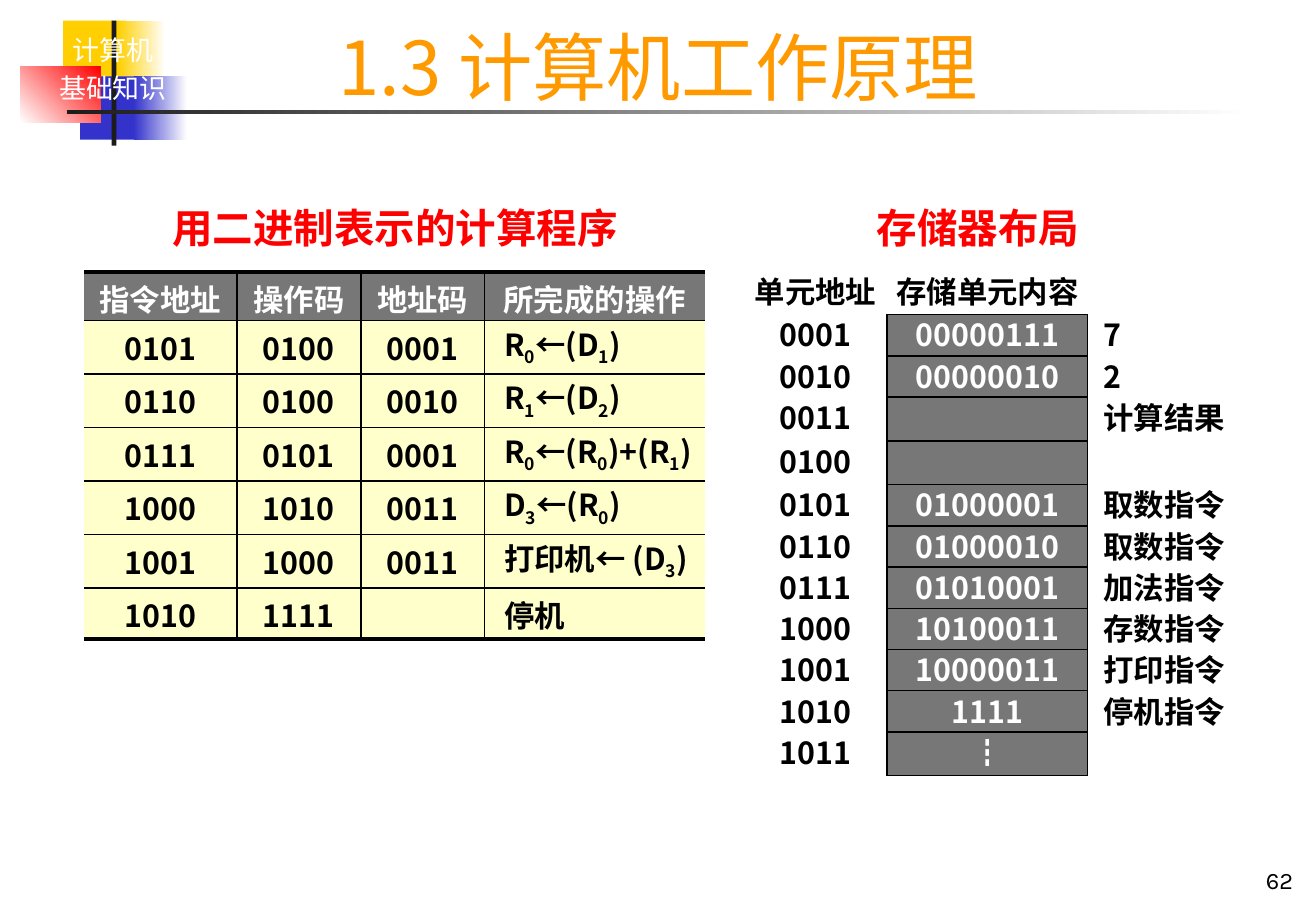
from dataclasses import dataclass
from typing import NamedTuple, Optional

from lxml.etree import SubElement
from pptx import Presentation
from pptx.dml.color import RGBColor as Rgb
from pptx.enum.shapes import MSO_SHAPE as Shape
from pptx.enum.text import MSO_ANCHOR as Anchor, PP_ALIGN as Align
from pptx.oxml.ns import qn
from pptx.util import Emu, Inches, Pt


@dataclass(frozen=True)
class Theme:
    yellow: str = "FFCF01"
    blue: str = "3333CC"
    red: str = "FF0000"
    ink: str = "1C1C1C"
    black: str = "000000"
    white: str = "FFFFFF"
    orange: str = "FF9900"
    gray: str = "777777"
    cream: str = "FFFFCC"
    cjk: str = "Noto Sans CJK SC"
    heading_font: str = "Arial"
    small_font: str = "Karla"
    title_size: float = 44
    heading_size: float = 24
    table_size: float = 18
    badge_size: float = 16
    number_size: float = 14
    table_line: float = 20
    thin: float = 1
    thick: float = 2.25


class Area(NamedTuple):
    """Left, top, width and height in percent of the slide's size."""
    left: float
    top: float
    width: float
    height: float


class Block(NamedTuple):
    area: Area
    color: str
    fade_to: Optional[str] = None
    angle: float = 0


class Look(NamedTuple):
    """Format of one table cell; borders map an edge (L, R, T, B) to a width."""
    color: str
    fill: Optional[str]
    borders: dict[str, float]
    align: Align = Align.CENTER
    left: float = 0.02


class Grid(NamedTuple):
    left: float
    top: float
    columns: list[float]
    rows: list[float]
    text_top: float


THEME = Theme()
WIDTH, HEIGHT = Inches(10.83), Inches(7.5)

BLOCKS = [
    Block(Area(4.8, 2.27, 4.8, 6.93), THEME.yellow),
    Block(Area(8.96, 2.27, 3.6, 6.93), THEME.yellow, THEME.white),
    Block(Area(6.09, 8.4, 4.62, 6.93), THEME.blue),
    Block(Area(10.16, 8.4, 4.06, 6.93), THEME.blue, THEME.white),
    Block(Area(1.57, 7.33, 6.09, 6.13), THEME.white, THEME.red, 45),
    Block(Area(8.49, 2.27, 0.37, 13.73), THEME.ink),
    Block(Area(5.08, 12.13, 90.03, 0.4), THEME.ink, THEME.white),
]

# An underscore lowers the character that follows it.
PROGRAM = [
    ("指令地址", "操作码", "地址码", "所完成的操作"),
    ("0101", "0100", "0001", "R_0←(D_1)"),
    ("0110", "0100", "0010", "R_1←(D_2)"),
    ("0111", "0101", "0001", "R_0←(R_0)+(R_1)"),
    ("1000", "1010", "0011", "D_3←(R_0)"),
    ("1001", "1000", "0011", "打印机← (D_3)"),
    ("1010", "1111", "", "停机"),
]
MEMORY = [
    ("单元地址", "存储单元内容", ""),
    ("0001", "00000111", "7"),
    ("0010", "00000010", "2"),
    ("0011", "", "计算结果"),
    ("0100", "", ""),
    ("0101", "01000001", "取数指令"),
    ("0110", "01000010", "取数指令"),
    ("0111", "01010001", "加法指令"),
    ("1000", "10100011", "存数指令"),
    ("1001", "10000011", "打印指令"),
    ("1010", "1111", "停机指令"),
    ("1011", "┇", ""),
]
PROGRAM_GRID = Grid(6.37, 29.87, [11.63, 9.42, 9.42, 16.71],
                    [5.33] + [5.87] * 5 + [5.33], 0.12)
MEMORY_GRID = Grid(56.51, 29.73, [10.9, 15.24, 13.85], [4.53] * len(MEMORY), 0.06)


def across(share: float) -> Emu:
    return Emu(round(WIDTH * share / 100))


def down(share: float) -> Emu:
    return Emu(round(HEIGHT * share / 100))


def place(area: Area) -> tuple[Emu, Emu, Emu, Emu]:
    return across(area.left), down(area.top), across(area.width), down(area.height)


def write(para, text: str, *, size: float, font: str, color: str,
          bold: bool = False, align: Align = Align.CENTER) -> None:
    """Fill a paragraph, lowering each character that follows an underscore."""
    para.alignment = align
    first, *others = text.split("_")
    pieces = [(first, False)]
    for piece in others:
        pieces += [(piece[:1], True), (piece[1:], False)]
    for words, lowered in pieces:
        if not words:
            continue
        span = para.add_run()
        span.text = words
        span.font.size, span.font.bold, span.font.name = Pt(size), bold, font
        span.font.color.rgb = Rgb.from_string(color)
        properties = span._r.get_or_add_rPr()
        SubElement(properties, qn("a:ea")).set("typeface", font)
        if lowered:
            properties.set("baseline", "-25000")


def add_text(page, area: Area, text: str, *, anchor: Anchor = Anchor.TOP,
             bottom: float = 0.05, gap: float = 0, **style) -> None:
    frame = page.shapes.add_textbox(*place(area)).text_frame
    frame.word_wrap = True
    frame.vertical_anchor = anchor
    frame.margin_bottom = Inches(bottom)
    for index, line in enumerate(text.split("\n")):
        para = frame.add_paragraph() if index else frame.paragraphs[0]
        if index:
            para.space_before = Pt(gap)
        write(para, line, **style)


def add_block(page, block: Block) -> None:
    shape = page.shapes.add_shape(Shape.RECTANGLE, *place(block.area))
    shape.shadow.inherit = False
    shape.line.fill.background()
    if block.fade_to is None:
        shape.fill.solid()
        shape.fill.fore_color.rgb = Rgb.from_string(block.color)
        return
    shape.fill.gradient()
    shape.fill.gradient_angle = block.angle
    for stop, color in zip(shape.fill.gradient_stops, (block.color, block.fade_to)):
        stop.color.rgb = Rgb.from_string(color)


def set_borders(cell, borders: dict[str, float]) -> None:
    properties = cell._tc.get_or_add_tcPr()
    for index, edge in enumerate("LRTB"):
        line = SubElement(properties, qn(f"a:ln{edge}"))
        properties.insert(index, line)
        if edge in borders:
            line.set("w", str(Pt(borders[edge])))
            paint = SubElement(line, qn("a:solidFill"))
            SubElement(paint, qn("a:srgbClr")).set("val", THEME.black)
        else:
            SubElement(line, qn("a:noFill"))


def program_look(row: int, column: int) -> Look:
    last_row, last_column = len(PROGRAM) - 1, len(PROGRAM[0]) - 1
    borders = {"T": THEME.thin if row else THEME.thick,
               "B": THEME.thin if row < last_row else THEME.thick}
    if column:
        borders["L"] = THEME.thin
    if column < last_column:
        borders["R"] = THEME.thin
    if row == 0:
        return Look(THEME.white, THEME.gray, borders)
    if column == last_column:
        return Look(THEME.black, THEME.cream, borders, Align.LEFT, 0.16)
    return Look(THEME.black, THEME.cream, borders)


def memory_look(row: int, column: int) -> Look:
    edges = ("", "B", "")[column] if row == 0 else ("R", "LRTB", "L")[column]
    borders = dict.fromkeys(edges, THEME.thin)
    if column == 2:
        return Look(THEME.black, None, borders, Align.LEFT, 0.13)
    if column == 1 and row:
        return Look(THEME.white, THEME.gray, borders)
    return Look(THEME.black, None, borders)


def add_grid(page, grid: Grid, content: list[tuple], look_of) -> None:
    area = Area(grid.left, grid.top, sum(grid.columns), sum(grid.rows))
    table = page.shapes.add_table(len(grid.rows), len(grid.columns), *place(area)).table
    table.first_row = table.horz_banding = False
    for column, share in zip(table.columns, grid.columns):
        column.width = across(share)
    for row, share in zip(table.rows, grid.rows):
        row.height = down(share)
    for r, texts in enumerate(content):
        for c, text in enumerate(texts):
            cell, look = table.cell(r, c), look_of(r, c)
            cell.margin_left, cell.margin_right = Inches(look.left), Inches(0.02)
            cell.margin_top, cell.margin_bottom = Inches(grid.text_top), 0
            if look.fill:
                cell.fill.solid()
                cell.fill.fore_color.rgb = Rgb.from_string(look.fill)
            else:
                cell.fill.background()
            set_borders(cell, look.borders)
            para = cell.text_frame.paragraphs[0]
            para.line_spacing = Pt(THEME.table_line)
            write(para, text, size=THEME.table_size, font=THEME.cjk,
                  color=look.color, bold=True, align=look.align)


def main() -> None:
    deck = Presentation()
    deck.slide_width, deck.slide_height = WIDTH, HEIGHT
    page = deck.slides.add_slide(deck.slide_layouts[6])
    for block in BLOCKS:
        add_block(page, block)
    add_text(page, Area(2.77, 3.07, 11.63, 9.2), "计算机\n基础知识", gap=3.2,
             size=THEME.badge_size, font=THEME.small_font, color=THEME.white)
    add_text(page, Area(88.55, 94.4, 10.62, 4.4), "62", anchor=Anchor.BOTTOM,
             size=THEME.number_size, font=THEME.small_font, color=THEME.black,
             align=Align.RIGHT)
    for left, width, heading in ((11.45, 37.12, "用二进制表示的计算程序"),
                                 (64.54, 19.58, "存储器布局")):
        add_text(page, Area(left, 21.6, width, 6.67), heading, bold=True,
                 size=THEME.heading_size, font=THEME.heading_font, color=THEME.red)
    add_grid(page, PROGRAM_GRID, PROGRAM, program_look)
    add_grid(page, MEMORY_GRID, MEMORY, memory_look)
    add_text(page, Area(15.14, 1.07, 69.81, 11.07), "1.3 计算机工作原理",
             anchor=Anchor.BOTTOM, bottom=0, size=THEME.title_size,
             font=THEME.cjk, color=THEME.orange)
    deck.save("out.pptx")


if __name__ == "__main__":
    main()
